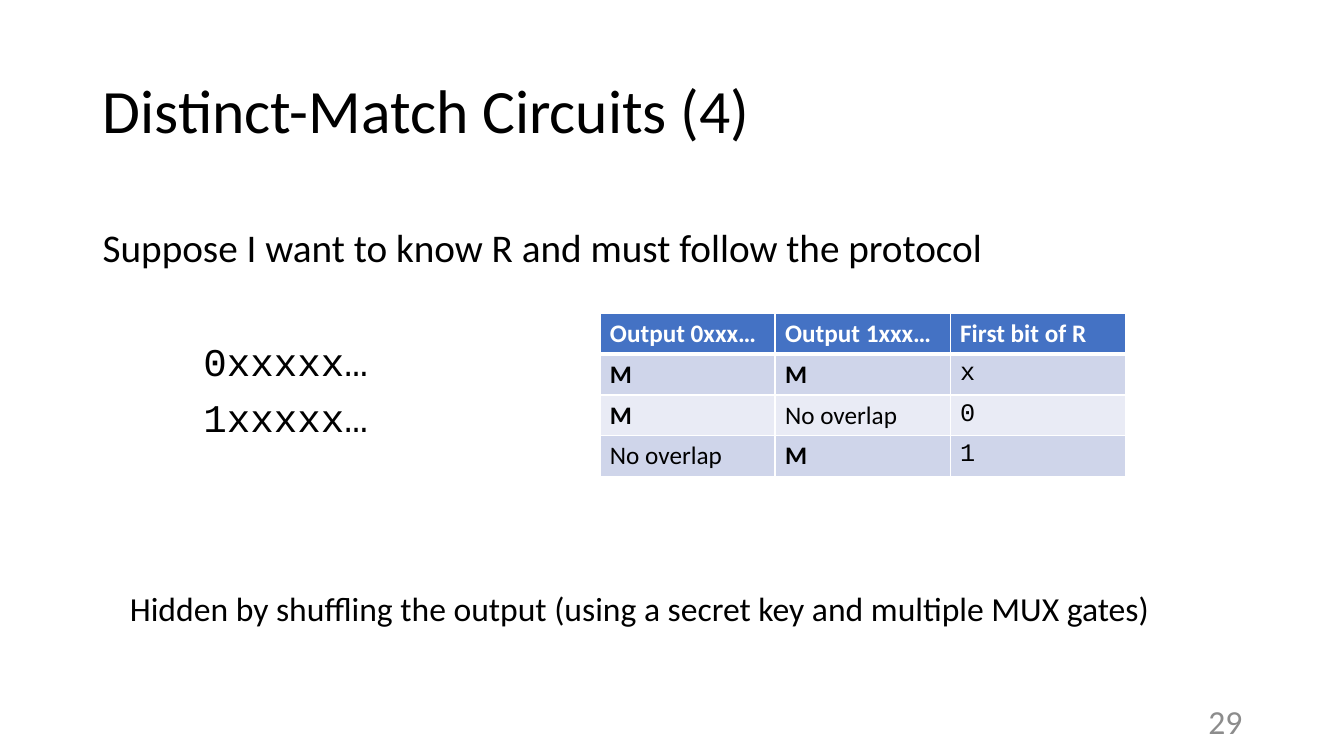
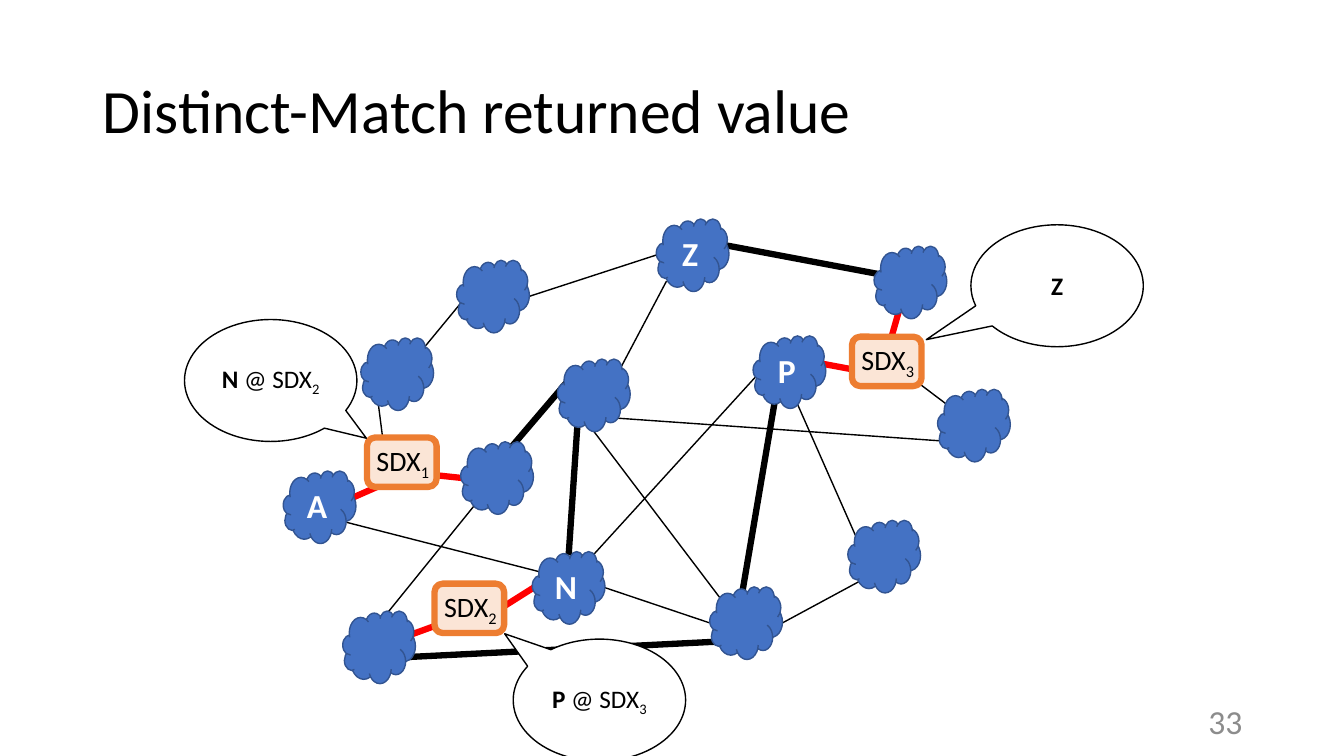
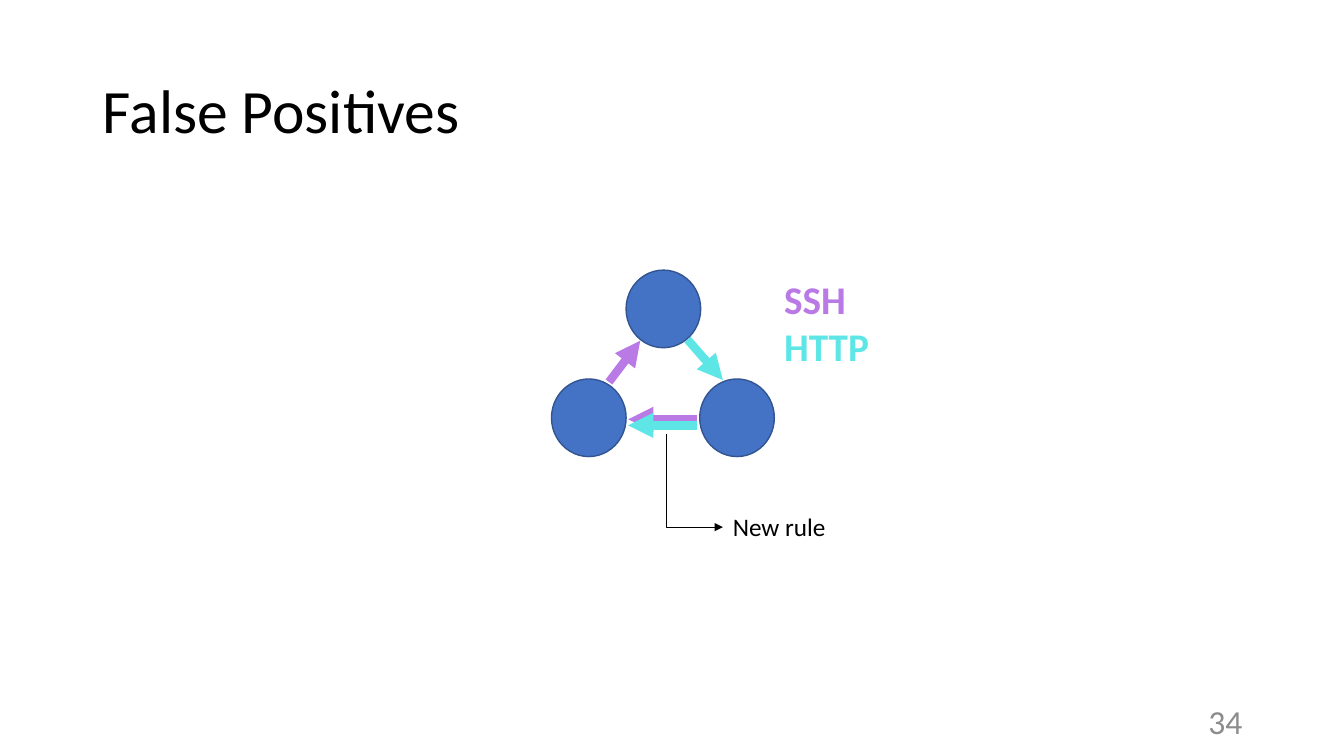
from typing import NamedTuple

from lxml import etree
from pptx import Presentation
from pptx import util as u
from pptx.dml.color import RGBColor
from pptx.enum import shapes as sh
from pptx.enum import text as tx
from pptx.oxml.ns import qn

# Shared colours and fonts
BLACK, WHITE, GREY, RED = "000000", "FFFFFF", "8C8C8C", "FF0000"
BLUE, NAVY, ORANGE, PEACH = "4472C4", "325491", "ED7D31", "FBE5D6"
PALE, MIST, VIOLET, AQUA = "CFD5EA", "E9EBF5", "B97AE6", "5EE6E6"
SANS, MONO = "Calibri", "Courier New"
LEFT, MID, RIGHT = tx.PP_ALIGN.LEFT, tx.PP_ALIGN.CENTER, tx.PP_ALIGN.RIGHT
SHAPE = sh.MSO_SHAPE


class Run(NamedTuple):
    text: str
    bold: bool = False
    font: str = SANS
    color: str = ""
    sub: bool = False


class Para(NamedTuple):
    runs: list[Run]
    before: float = 0
    indent: float = 0


class Box(NamedTuple):
    left: float
    top: float
    width: float
    height: float


class Link(NamedTuple):
    x1: float
    y1: float
    x2: float
    y2: float
    color: str = BLACK
    width: float = 1
    arrow: bool = False


class Cloud(NamedTuple):
    left: float
    top: float
    name: str = ""


class Call(NamedTuple):
    left: float
    top: float
    tip: tuple[float, float]
    runs: list[Run]


def rgb(code: str) -> RGBColor:
    return RGBColor.from_string(code)


def inch(*sizes: float) -> list[u.Length]:
    return [u.Inches(s) for s in sizes]


def write(frame, paras: list[Para], size: float, color: str = BLACK,
          align=LEFT, space: float = 1, middle: bool = False) -> None:
    look = {"word_wrap": True,
            "vertical_anchor": tx.MSO_ANCHOR.MIDDLE if middle else tx.MSO_ANCHOR.TOP}
    for key, val in look.items():
        setattr(frame, key, val)
    for i, para in enumerate(paras):
        p = frame.add_paragraph() if i else frame.paragraphs[0]
        form = {"alignment": align, "line_spacing": space,
                "space_before": u.Pt(para.before)}
        for key, val in form.items():
            setattr(p, key, val)
        if para.indent:
            p._p.get_or_add_pPr().set("marL", str(u.Inches(para.indent)))
        for run in para.runs:
            r = p.add_run()
            r.text = run.text
            for key, val in {"name": run.font, "size": u.Pt(size), "bold": run.bold}.items():
                setattr(r.font, key, val)
            r.font.color.rgb = rgb(run.color or color)
            if run.sub:
                r._r.get_or_add_rPr().set("baseline", "-25000")


def label(slide, box: Box, paras: list[Para], size: float, **form) -> None:
    write(slide.shapes.add_textbox(*inch(*box)).text_frame, paras, size, **form)


def shape(slide, kind, box: Box, fill: str = BLUE, line: str = NAVY, width: float = 1):
    item = slide.shapes.add_shape(kind, *inch(*box))
    item.shadow.inherit = False
    item.fill.solid()
    item.fill.fore_color.rgb = rgb(fill)
    item.line.color.rgb = rgb(line)
    item.line.width = u.Pt(width)
    return item


def join(slide, link: Link, kind=sh.MSO_CONNECTOR.STRAIGHT):
    con = slide.shapes.add_connector(kind, *inch(*link[:4]))
    con.line.color.rgb = rgb(link.color)
    con.line.width = u.Pt(link.width)
    if link.arrow:
        etree.SubElement(con.line._get_or_add_ln(), qn("a:tailEnd"), type="triangle")
    etree.SubElement(con._element.spPr, qn("a:effectLst"))
    return con


def page(deck, title: str, number: int):
    """Add a slide with its title and page number."""
    slide = deck.slides.add_slide(deck.slide_layouts[5])
    head = slide.shapes.title
    place = zip(("left", "top", "width", "height"), inch(0.92, 0.4, 11.5, 1.45))
    for key, val in place:
        setattr(head, key, val)
    write(head.text_frame, [Para([Run(title)])], 44, space=0.9, middle=True)
    label(slide, Box(9.42, 6.95, 3, 0.4), [Para([Run(str(number))])], 24,
          color=GREY, align=RIGHT, middle=True)
    return slide


def edge(cell, side: str, width: float) -> None:
    ln = etree.SubElement(cell._tc.get_or_add_tcPr(), qn(f"a:ln{side}"), w=str(u.Pt(width)))
    fill = etree.SubElement(ln, qn("a:solidFill"))
    etree.SubElement(fill, qn("a:srgbClr"), val=WHITE)


def grid(slide, box: Box, rows: list[list[Run]]) -> None:
    table = slide.shapes.add_table(len(rows), len(rows[0]), *inch(*box)).table
    for i, row in enumerate(rows):
        for j, run in enumerate(row):
            cell = table.cell(i, j)
            for side in "LRTB":
                thick = (i, side) in ((0, "B"), (1, "T"))
                edge(cell, side, 3 if thick else 1)
            cell.fill.solid()
            cell.fill.fore_color.rgb = rgb((PALE if i % 2 else MIST) if i else BLUE)
            write(cell.text_frame, [Para([run])], 18, color=BLACK if i else WHITE)


def match(deck) -> None:
    slide = page(deck, "Distinct-Match Circuits (4)", 29)
    label(slide, Box(0.92, 2.22, 10.06, 2.14), [
        Para([Run("Suppose I want to know R and must follow the protocol")]),
        Para([Run("0xxxxx…", font=MONO)], before=51, indent=1),
        Para([Run("1xxxxx…", font=MONO)], before=10, indent=1),
    ], 28, space=0.9)
    hit, miss = Run("M", bold=True), Run("No overlap")
    heads = ("Output 0xxx…", "Output 1xxx…", "First bit of R")
    grid(slide, Box(5.95, 3.11, 5.21, 1.62), [
        [Run(h, bold=True) for h in heads],
        [hit, hit, Run("x", font=MONO)],
        [hit, miss, Run("0", font=MONO)],
        [miss, hit, Run("1", font=MONO)],
    ])
    note = "Hidden by shuffling the output (using a secret key and multiple MUX gates)"
    label(slide, Box(1.19, 5.78, 10.6, 0.5), [Para([Run(note)])], 24)


# Network links: plain, chosen between clouds, chosen at an exchange
THIN = [
    (3.73, 6.22, 4.79, 4.91), (3.37, 4.99, 3.82, 4.8), (5.28, 5.83, 4.79, 6.14),
    (3.8, 4.38, 3.75, 3.99), (6.61, 2.79, 6.15, 3.66), (3.39, 5.17, 5.42, 5.69),
    (5.64, 5.47, 5.73, 4.08), (4.94, 4.57, 5.53, 3.92), (4.44, 6.18, 3.97, 6.34),
    (4.58, 4.74, 4.19, 4.7), (7.14, 5.93, 5.89, 4.28), (7.04, 6.18, 6, 5.83),
    (7.69, 3.92, 7.34, 6.05), (7.83, 3.37, 5.78, 5.62), (3.98, 6.52, 7.19, 6.36),
    (9.42, 4.38, 6, 4.14), (9.52, 4.11, 9.03, 3.74), (8.59, 3.69, 7.95, 3.58),
    (4.89, 2.62, 4.18, 3.48), (5.25, 2.94, 6.51, 2.53), (8.52, 5.77, 7.76, 6.18),
    (7.87, 3.92, 8.59, 5.55), (8.99, 2.77, 8.81, 3.45), (8.86, 2.75, 7.05, 2.41),
]
BOLD = [
    (5.75, 4.08, 6.15, 3.66), (5.64, 3.77, 4.94, 4.59), (5.73, 4.17, 5.64, 5.51),
    (7.23, 6.36, 3.81, 6.53), (7.69, 3.95, 7.34, 6.01), (8.88, 2.75, 7.02, 2.4),
]
HOT = [
    (3.81, 4.8, 3.31, 5.02), (4.28, 4.71, 4.75, 4.76), (4.88, 6.09, 5.53, 5.68),
    (3.9, 6.36, 4.45, 6.16), (7.95, 3.57, 8.59, 3.69), (8.94, 3, 8.8, 3.49),
]
CLOUDS = [
    Cloud(8.67, 2.44), Cloud(3.58, 3.35), Cloud(9.3, 3.86), Cloud(7.04, 5.82),
    Cloud(7.47, 3.33, "P"), Cloud(4.53, 2.58), Cloud(8.41, 5.16), Cloud(4.57, 4.38),
    Cloud(5.28, 5.47, "N"), Cloud(3.4, 6.06), Cloud(2.81, 4.67, "A"),
    Cloud(5.53, 3.56), Cloud(6.51, 2.17, "Z"),
]
SDX = {"1": (3.64, 4.34), "2": (4.31, 5.79), "3": (8.45, 3.34)}


def hop(name: str, num: str) -> list[Run]:
    return [Run(name, bold=True), Run(" @ SDX"), Run(num, sub=True)]


CALLS = [
    Call(1.83, 3.17, (0.555, 0.473), hop("N", "2")),
    Call(5.09, 6.34, (-0.55, -0.544), hop("P", "3")),
    Call(9.63, 2.23, (-0.759, 0.442), [Run("Z", bold=True)]),
]


def value(deck) -> None:
    slide = page(deck, "Distinct-Match returned value", 33)
    for group, color, width in ((THIN, BLACK, 1), (BOLD, BLACK, 4.5), (HOT, RED, 4.5)):
        for ends in group:
            join(slide, Link(*ends, color, width))
    for cloud in CLOUDS:
        item = shape(slide, SHAPE.CLOUD, Box(cloud.left, cloud.top, 0.72, 0.72))
        if cloud.name:
            write(item.text_frame, [Para([Run(cloud.name, bold=True)])], 24,
                  color=WHITE, align=MID, middle=True)
    # Exchange points
    for num, (x, y) in SDX.items():
        shape(slide, SHAPE.ROUNDED_RECTANGLE, Box(x, y, 0.69, 0.49), PEACH, ORANGE, 4.5)
        label(slide, Box(x - 0.03, y + 0.03, 0.77, 0.44),
              [Para([Run("SDX"), Run(num, sub=True)])], 20, align=MID, middle=True)
    # Returned values
    for call in CALLS:
        item = shape(slide, SHAPE.OVAL_CALLOUT, Box(call.left, call.top, 1.71, 1.21),
                     WHITE, BLACK)
        for i, tip in enumerate(call.tip):
            item.adjustments[i] = tip
        frame = item.text_frame
        frame.margin_left = frame.margin_right = 0
        write(frame, [Para(call.runs)], 18, align=MID, middle=True)


def false(deck) -> None:
    slide = page(deck, "False Positives", 34)
    for x, y in ((6.94, 3.76), (5.47, 3.76), (6.21, 2.68)):
        shape(slide, SHAPE.OVAL, Box(x, y, 0.74, 0.77))
    for link in (
        Link(6.04, 3.79, 6.35, 3.38, VIOLET, 6, True),
        Link(6.82, 3.37, 7.17, 3.77, AQUA, 6, True),
        Link(6.91, 4.16, 6.23, 4.16, VIOLET, 6, True),
        Link(6.91, 4.22, 6.23, 4.22, AQUA, 6, True),
    ):
        join(slide, link)
    label(slide, Box(7.68, 2.68, 1.37, 1.04), [
        Para([Run("SSH", bold=True, color=VIOLET)]),
        Para([Run("HTTP", bold=True, color=AQUA)]),
    ], 28)
    label(slide, Box(7.17, 5.02, 2.83, 0.4), [Para([Run("New rule")])], 18)
    # One-bend arrow, turned so that it runs down and then right
    bend = join(slide, Link(7.35, 4.49, 6.43, 5.05, BLACK, 0.5, True),
                sh.MSO_CONNECTOR.ELBOW)
    props = bend._element.spPr
    props.find(qn("a:prstGeom")).set("prst", "bentConnector2")
    props.find(qn("a:xfrm")).set("rot", str(270 * 60000))


def main() -> None:
    deck = Presentation()
    deck.slide_width, deck.slide_height = inch(13.33, 7.5)
    for build in (match, value, false):
        build(deck)
    deck.save("out.pptx")


if __name__ == "__main__":
    main()
